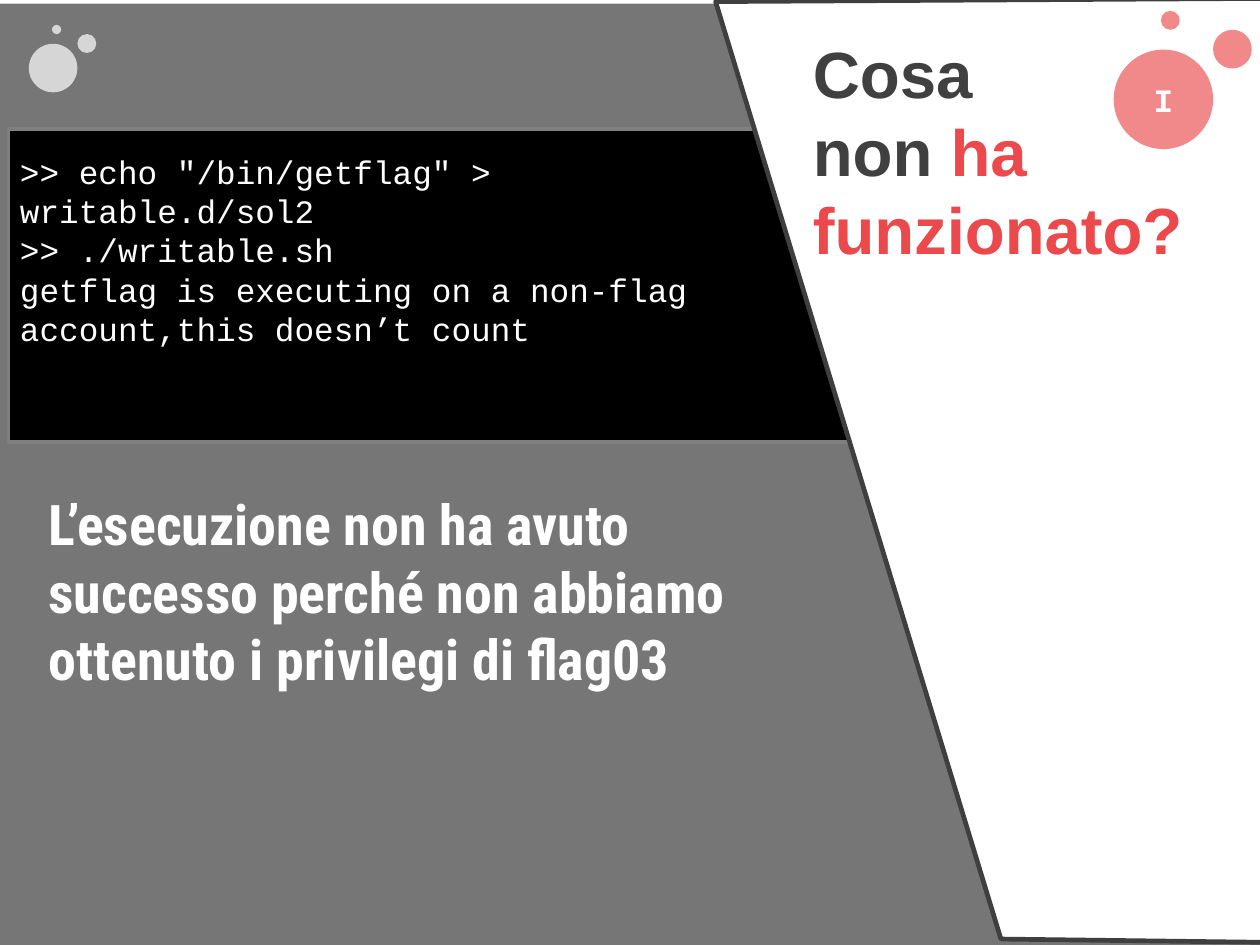
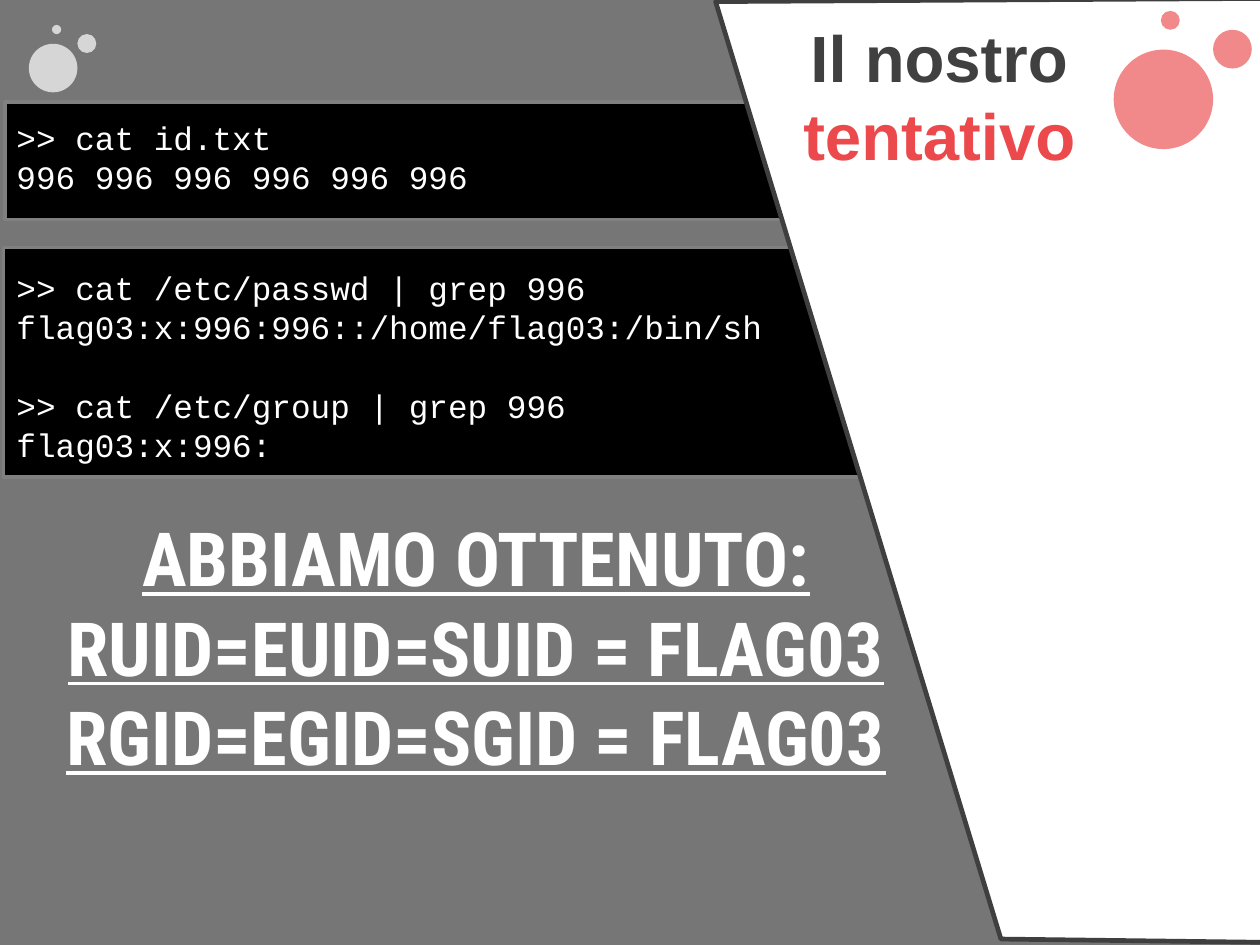
from lxml.etree import SubElement
from pptx import Presentation
from pptx.dml.color import RGBColor
from pptx.enum.shapes import MSO_SHAPE
from pptx.enum.text import MSO_ANCHOR, PP_ALIGN
from pptx.oxml.ns import qn
from pptx.util import Pt

WHITE = RGBColor(0xFF, 0xFF, 0xFF)
BLACK = RGBColor(0x00, 0x00, 0x00)
CHARCOAL = RGBColor(0x3C, 0x3C, 0x3C)
OUTLINE = RGBColor(0x3F, 0x3F, 0x3F)
TITLE_GRAY = RGBColor(0x40, 0x40, 0x40)
BORDER_GRAY = RGBColor(0x80, 0x80, 0x80)
RED = RGBColor(0xEB, 0x49, 0x4B)

TITLE_FONT = "Arial"
CODE_FONT = "Courier New"
BODY_FONT = "Roboto Condensed"
CODE_SIZE = 14
LINE_PITCH = 1.2

PANEL_CORNERS = [(429, 402.5), (306.7, 0.7), (546.5, -0.7), (542.9, 403.9)]
# Left, top and diameter of each bubble, relative to the largest one
BUBBLES = [(0, 0, 1), (1, -0.2, 0.39), (0.475, -0.39, 0.19)]


def add_filled_shape(shapes, kind, box, color, opacity=100):
    shape = shapes.add_shape(kind, *[Pt(length) for length in box])
    shape.shadow.inherit = False
    shape.fill.solid()
    shape.fill.fore_color.rgb = color
    shape.line.fill.background()
    if opacity < 100:
        color_element = shape.fill._xPr.find(qn("a:solidFill"))[0]
        SubElement(color_element, qn("a:alpha")).set("val", str(opacity * 1000))
    return shape


def add_run(paragraph, text, font, size, color, bold=True, underline=None):
    run = paragraph.add_run()
    run.text = text
    run.font.name = font
    run.font.size = Pt(size)
    run.font.bold = bold
    run.font.underline = underline
    run.font.color.rgb = color


def add_text(shapes, box, lines, font, size, align=PP_ALIGN.LEFT,
             anchor=MSO_ANCHOR.MIDDLE, **run_style):
    """Write lines, each a list of (text, color) runs, in a text box."""
    frame = shapes.add_textbox(*[Pt(length) for length in box]).text_frame
    frame.word_wrap = True
    frame.vertical_anchor = anchor
    for index, line in enumerate(lines):
        paragraph = frame.paragraphs[0] if index == 0 else frame.add_paragraph()
        paragraph.alignment = align
        paragraph.line_spacing = Pt(size * LINE_PITCH)
        for text, color in line:
            add_run(paragraph, text, font, size, color, **run_style)
    return frame


def add_terminal(slide, screen_box, text_box, *commands):
    """Draw a black screen; each command is a list of lines, set apart by a line."""
    shapes = slide.shapes.add_group_shape().shapes
    screen = add_filled_shape(shapes, MSO_SHAPE.RECTANGLE, screen_box, BLACK)
    screen.line.color.rgb = BORDER_GRAY
    screen.line.width = Pt(1.5)
    lines = [[(line, WHITE)] for command in commands for line in command]
    frame = add_text(shapes, text_box, lines, CODE_FONT, CODE_SIZE,
                     anchor=MSO_ANCHOR.TOP, bold=False)
    start = 0
    for command in commands[:-1]:
        start += len(command)
        frame.paragraphs[start].space_before = Pt(CODE_SIZE * LINE_PITCH)


def add_bubbles(slide, left, top, diameter, color, opacity, label=None):
    shapes = slide.shapes.add_group_shape().shapes
    bubbles = [
        add_filled_shape(
            shapes, MSO_SHAPE.OVAL,
            (left + x * diameter, top + y * diameter, size * diameter, size * diameter),
            color, opacity)
        for x, y, size in BUBBLES
    ]
    if label:
        frame = bubbles[0].text_frame
        frame.vertical_anchor = MSO_ANCHOR.MIDDLE
        paragraph = frame.paragraphs[0]
        paragraph.alignment = PP_ALIGN.CENTER
        add_run(paragraph, label, CODE_FONT, CODE_SIZE, WHITE)


def add_title_panel(slide):
    corners = [(Pt(x), Pt(y)) for x, y in PANEL_CORNERS]
    builder = slide.shapes.build_freeform(*corners[0])
    builder.add_line_segments(corners[1:], close=True)
    panel = builder.convert_to_shape()
    panel.shadow.inherit = False
    panel.fill.solid()
    panel.fill.fore_color.rgb = WHITE
    panel.line.color.rgb = OUTLINE
    panel.line.width = Pt(2)


def add_backdrop(presentation, top):
    slide = presentation.slides.add_slide(presentation.slide_layouts[6])
    add_filled_shape(slide.shapes, MSO_SHAPE.RECTANGLE, (0, top, 546, 406), CHARCOAL, 70)
    return slide


def add_decoration(slide, label=None):
    add_bubbles(slide, 12.4, 18.8, 20.8, WHITE, 70)
    add_title_panel(slide)
    add_bubbles(slide, 477.3, 21.3, 42.6, RED, 65, label)


def build_failure_slide(presentation):
    slide = add_backdrop(presentation, 1.5)
    add_terminal(slide, (3.6, 55.4, 434, 134), (1.5, 61.5, 348.5, 75), [
        '>> echo "/bin/getflag" > writable.d/sol2',
        ">> ./writable.sh",
        "getflag is executing on a non-flag",
        "account,this doesn’t count",
    ])
    add_decoration(slide, "I")
    add_text(slide.shapes, (341.3, 10, 206, 109),
             [[("Cosa", TITLE_GRAY)], [("non ", TITLE_GRAY), ("ha funzionato?", RED)]],
             TITLE_FONT, 28)
    add_text(slide.shapes, (13.7, 206, 332, 94.3),
             [[("L’esecuzione non ha avuto successo perché non abbiamo "
                "ottenuto i privilegi di flag03", WHITE)]],
             BODY_FONT, 24)


def build_attempt_slide(presentation):
    slide = add_backdrop(presentation, -0.7)
    add_terminal(slide, (1.5, 106, 460, 98.5), (0, 111.2, 440, 108),
                 [">> cat /etc/passwd | grep 996",
                  "flag03:x:996:996::/home/flag03:/bin/sh"],
                 [">> cat /etc/group | grep 996", "flag03:x:996:"])
    add_terminal(slide, (2.2, 43.8, 460, 50.4), (0, 47, 440, 41),
                 [">> cat id.txt", "996 996 996 996 996 996"])
    add_decoration(slide)
    results = ["ABBIAMO OTTENUTO:", "RUID=EUID=SUID = FLAG03", "RGID=EGID=SGID = FLAG03"]
    add_text(slide.shapes, (15, 215, 378, 124), [[(line, WHITE)] for line in results],
             BODY_FONT, 32, PP_ALIGN.CENTER, underline=True)
    add_text(slide.shapes, (331.2, 3.5, 142.6, 75),
             [[("Il nostro", TITLE_GRAY)], [("tentativo", RED)]],
             TITLE_FONT, 28, PP_ALIGN.CENTER)


def main():
    presentation = Presentation()
    presentation.slide_width = Pt(540)
    presentation.slide_height = Pt(405)
    build_failure_slide(presentation)
    build_attempt_slide(presentation)
    presentation.save("out.pptx")


if __name__ == "__main__":
    main()
